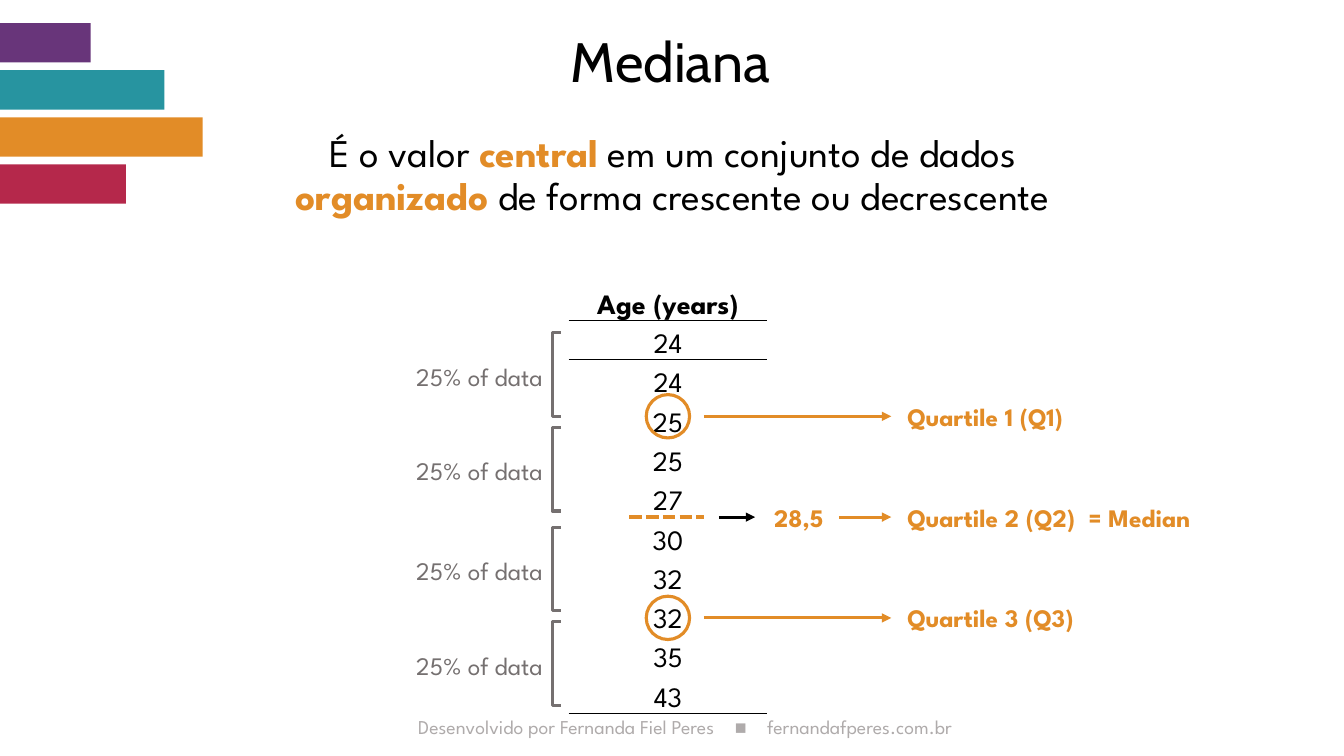
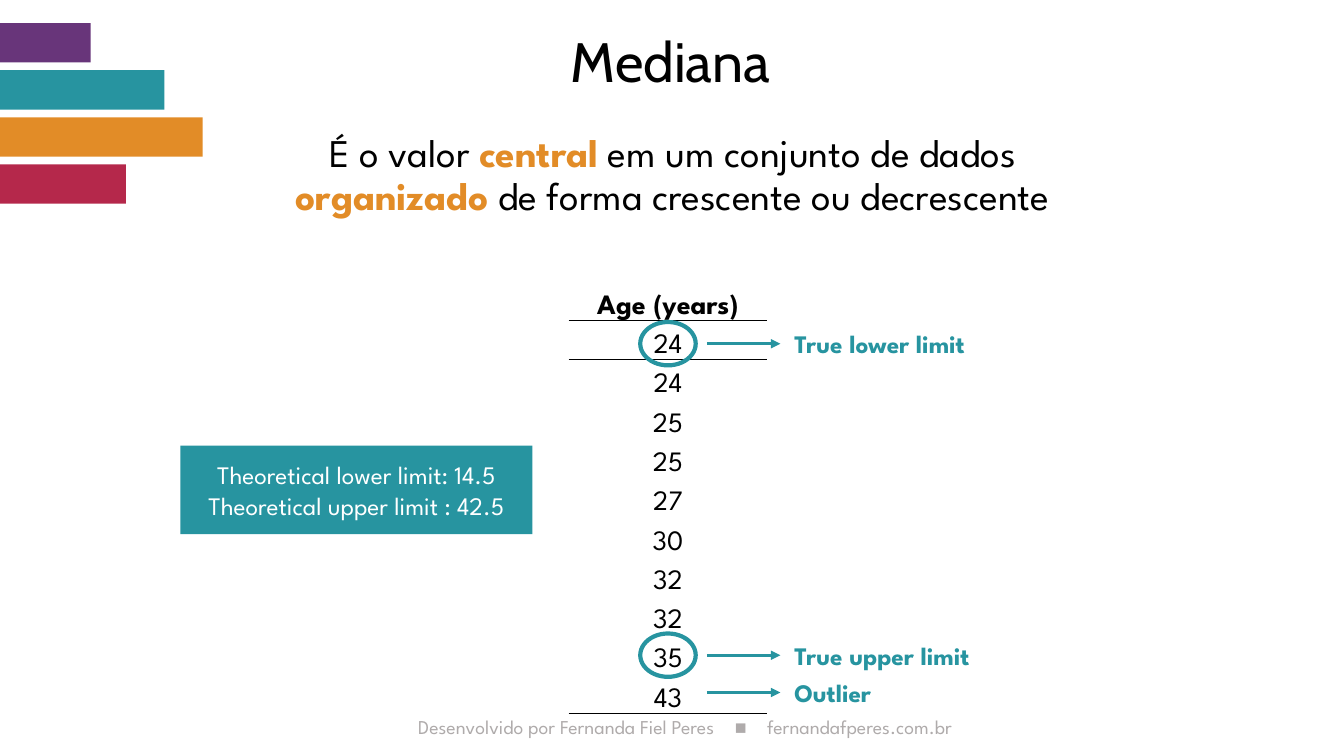
from lxml import etree
from pptx import Presentation
from pptx.dml.color import RGBColor
from pptx.enum.dml import MSO_LINE
from pptx.enum.shapes import MSO_CONNECTOR, MSO_SHAPE
from pptx.enum.text import MSO_ANCHOR, MSO_AUTO_SIZE, PP_ALIGN
from pptx.oxml import parse_xml
from pptx.oxml.ns import nsdecls, qn
from pptx.util import Inches, Pt

LEFT, CENTER, RIGHT = PP_ALIGN.LEFT, PP_ALIGN.CENTER, PP_ALIGN.RIGHT
MIDDLE, BOTTOM, TOP = MSO_ANCHOR.MIDDLE, MSO_ANCHOR.BOTTOM, MSO_ANCHOR.TOP
RECT, ELLIPSE, BRACKET = MSO_SHAPE.RECTANGLE, MSO_SHAPE.OVAL, MSO_SHAPE.LEFT_BRACKET
DASHED = MSO_LINE.SQUARE_DOT

COLORS = {
    "purple": "68357A", "teal": "2794A0", "orange": "E28C27", "crimson": "B5284B",
    "black": "000000", "white": "FFFFFF", "gray": "757070", "footer": "AFABAB",
}
SPARTAN = "League Spartan"
NO_TABLE_STYLE = "{2D5ABB26-0587-4C30-8999-92F81FD0307C}"

# Shared content
TITLE = "Mediana"
DEFINITION = [
    ("É o valor ", False), ("central", True), (" em um conjunto de dados ", False),
    ("organizado", True), (" de forma crescente ou decrescente", False),
]
FOOTER = [("Desenvolvido por Fernanda Fiel Peres", SPARTAN), ("\t■\t", "Arial"),
          ("fernandafperes.com.br", SPARTAN)]
FOOTER_TABS = (3.14, 3.46)
BARS = [("purple", 0.9), ("teal", 1.63), ("orange", 2.01), ("crimson", 1.25)]
BAR_TOP, BAR_HEIGHT, BAR_STEP = 0.23, 0.39, 1.4 / 3
AGE_HEADER = "Age (years)"
AGES = [24, 24, 25, 25, 27, 30, 32, 32, 35, 43]
TABLE_LEFT, TABLE_TOP, TABLE_WIDTH = 5.64, 2.65, 1.97
HEADER_HEIGHT, ROW_HEIGHT = 0.53, 0.39
AGE_CENTER = TABLE_LEFT + TABLE_WIDTH / 2

# Quartile slide
QUARTILES = ["Quartile 1 (Q1)", "Quartile 2 (Q2)", "Quartile 3 (Q3)"]
MEDIAN_Y = TABLE_TOP + HEADER_HEIGHT + ROW_HEIGHT * len(AGES) / 2
QUARTILE_STEP = 1.0
QUARTER_TOPS = [3.3, 4.24, 5.23, 6.17]
QUARTER_LABEL = "25% of data"

# Limits slide: label, height on the slide, whether the age is circled
LIMITS = [("True lower limit", 3.41, True), ("True upper limit", 6.5, True),
          ("Outlier", 6.87, False)]
THEORETICAL = ["Theoretical lower limit: 14.5", "Theoretical upper limit : 42.5"]


def rgb(color):
    return RGBColor.from_string(COLORS[color])


def write(paragraph, runs, align=CENTER, **common):
    """Add runs given as (text, font values); common values apply to all of them."""
    paragraph.alignment = align
    for text, values in runs:
        run = paragraph.add_run()
        run.text = text
        for key, value in {"name": SPARTAN, "size": 18, "color": "black",
                           "bold": False, **common, **values}.items():
            if key == "color":
                run.font.color.rgb = rgb(value)
            else:
                setattr(run.font, key, Pt(value) if key == "size" else value)


def text_box(slide, left, top, width, height, anchor=MIDDLE):
    frame = slide.shapes.add_textbox(*map(Inches, (left, top, width, height))).text_frame
    frame.word_wrap = True
    frame.vertical_anchor = anchor
    return frame


def label(slide, text, left, center_y, width, color, bold=True, align=LEFT):
    frame = text_box(slide, left, center_y - 0.2, width, 0.4)
    write(frame.paragraphs[0], [(text, {})], align, color=color, bold=bold)


def add_shape(slide, kind, left, top, width, height, fill=None, line=None, weight=2.25):
    shape = slide.shapes.add_shape(kind, *map(Inches, (left, top, width, height)))
    shape.shadow.inherit = False
    if fill:
        shape.fill.solid()
        shape.fill.fore_color.rgb = rgb(fill)
    else:
        shape.fill.background()
    if line:
        shape.line.color.rgb = rgb(line)
        shape.line.width = Pt(weight)
    else:
        shape.line.fill.background()
    return shape


def circle_age(slide, y, width, color, weight):
    add_shape(slide, ELLIPSE, AGE_CENTER - width / 2, y - 0.215, width, 0.43,
              line=color, weight=weight)


def rule(slide, start, end, y, color, weight=2.25, arrow=True, dash=None):
    """Draw a horizontal line, with an arrowhead at its end by default."""
    line = slide.shapes.add_connector(MSO_CONNECTOR.STRAIGHT,
                                      *map(Inches, (start, y, end, y)))
    line.line.color.rgb = rgb(color)
    line.line.width = Pt(weight)
    if dash:
        line.line.dash_style = dash
    properties = line._element.spPr
    if arrow:
        etree.SubElement(properties.find(qn("a:ln")), qn("a:tailEnd"), type="triangle")
    etree.SubElement(properties, qn("a:effectLst"))


def border(cell, side, weight):
    cell._tc.get_or_add_tcPr().insert(0, parse_xml(
        f'<a:{side} {nsdecls("a")} w="{Pt(weight)}"><a:solidFill>'
        f'<a:srgbClr val="{COLORS["black"]}"/></a:solidFill></a:{side}>'))


def add_age_table(slide):
    texts = [AGE_HEADER, *map(str, AGES)]
    height = HEADER_HEIGHT + ROW_HEIGHT * len(AGES)
    table = slide.shapes.add_table(
        len(texts), 1, *map(Inches, (TABLE_LEFT, TABLE_TOP, TABLE_WIDTH, height))).table
    table.first_row = table.horz_banding = False
    table._tbl.tblPr.find(qn("a:tableStyleId")).text = NO_TABLE_STYLE
    margins = {"margin_left": 0.01, "margin_right": 0.01,
               "margin_top": 0.01, "margin_bottom": 0}
    for index, text in enumerate(texts):
        table.rows[index].height = Inches(ROW_HEIGHT if index else HEADER_HEIGHT)
        cell = table.cell(index, 0)
        cell.fill.background()
        cell.vertical_anchor = BOTTOM
        for side, margin in margins.items():
            setattr(cell, side, Inches(margin))
        write(cell.text_frame.paragraphs[0], [(text, {})], size=20, bold=index == 0)
    border(table.cell(0, 0), "lnB", 1)
    border(table.cell(1, 0), "lnT", 1)
    border(table.cell(len(AGES), 0), "lnB", 0.5)


def add_footer(slide):
    paragraph = text_box(slide, 4.05, 7.04, 5.7, 0.34).paragraphs[0]
    write(paragraph, [(text, {"name": font}) for text, font in FOOTER], LEFT,
          size=14, color="footer")
    tabs = etree.SubElement(paragraph._p.get_or_add_pPr(), qn("a:tabLst"))
    for position in FOOTER_TABS:
        etree.SubElement(tabs, qn("a:tab"), pos=str(Inches(position)), algn="l")


def add_base_slide(deck):
    """Add a slide with the bars, footer, title, definition and age table."""
    slide = deck.slides.add_slide(deck.slide_layouts[5])
    add_footer(slide)
    for index, (color, width) in enumerate(BARS):
        add_shape(slide, RECT, 0, BAR_TOP + index * BAR_STEP, width, BAR_HEIGHT, color)

    title = slide.shapes.title
    for key, value in {"left": 2.06, "top": 0.33, "width": 9.18, "height": 0.63}.items():
        setattr(title, key, Inches(value))
    title.text_frame.auto_size = MSO_AUTO_SIZE.NONE
    title.text_frame.vertical_anchor = MIDDLE
    heading = title.text_frame.paragraphs[0]
    heading.line_spacing = 0.9
    write(heading, [(TITLE, {})], name="Cabin", size=39.6)

    definition = text_box(slide, 2.22, 1.28, 8.9, 1.1, TOP).paragraphs[0]
    definition.line_spacing = 0.9
    definition.space_before = Pt(10)
    write(definition, [(text, {"bold": key, "color": "orange" if key else "black"})
                       for text, key in DEFINITION], size=28)
    add_age_table(slide)
    return slide


def add_quartile_slide(deck):
    slide = add_base_slide(deck)
    for top in QUARTER_TOPS:
        bracket = add_shape(slide, BRACKET, 5.48, top, 0.08, 0.83, line="gray")
        bracket.adjustments[0] = 0
        label(slide, QUARTER_LABEL, 3.69, top + 0.43, 1.79, "gray", False, RIGHT)

    for index, quartile in enumerate(QUARTILES):
        y = MEDIAN_Y + (index - 1) * QUARTILE_STEP
        is_median = index == 1
        rule(slide, 8.32 if is_median else 6.98, 8.84, y, "orange")
        label(slide, quartile, 8.9, y, 1.95, "orange")
        if not is_median:
            circle_age(slide, y, 0.43, "orange", 2.25)

    rule(slide, 6.24, 6.98, MEDIAN_Y, "orange", 3, arrow=False, dash=DASHED)
    rule(slide, 7.13, 7.49, MEDIAN_Y, "black")
    label(slide, "28,5", 7.58, MEDIAN_Y, 0.8, "orange")
    label(slide, "= Median", 10.7, MEDIAN_Y, 1.4, "orange")


def add_limits_slide(deck):
    slide = add_base_slide(deck)
    frame = add_shape(slide, RECT, 1.79, 4.42, 3.49, 0.88, "teal").text_frame
    frame.vertical_anchor = MIDDLE
    for index, text in enumerate(THEORETICAL):
        paragraph = frame.add_paragraph() if index else frame.paragraphs[0]
        write(paragraph, [(text, {})], color="white")

    for text, y, circled in LIMITS:
        if circled:
            circle_age(slide, y, 0.55, "teal", 3)
        rule(slide, 7.01, 7.74, y, "teal")
        label(slide, text, 7.78, y, 2.2, "teal")


def main():
    deck = Presentation()
    deck.slide_width, deck.slide_height = Inches(13.33), Inches(7.5)
    add_quartile_slide(deck)
    add_limits_slide(deck)
    deck.save("out.pptx")


if __name__ == "__main__":
    main()
